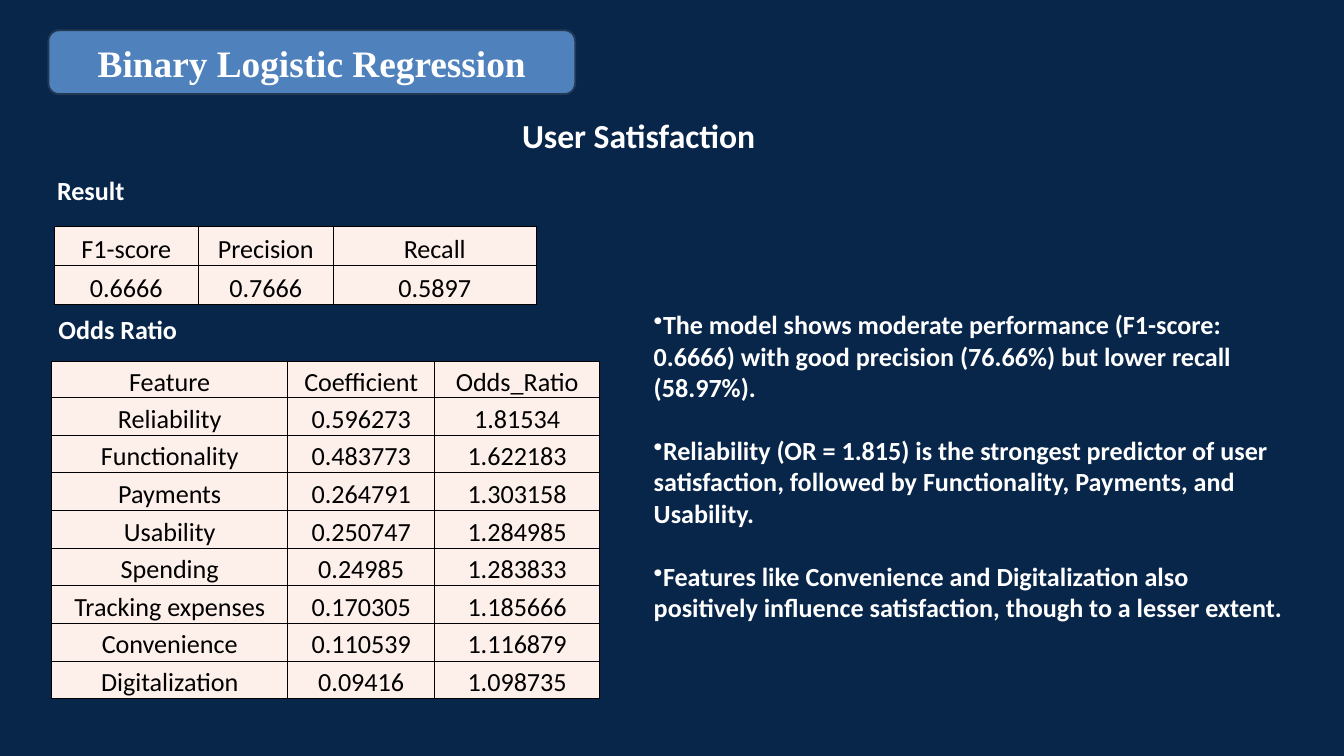
from pptx import Presentation
from pptx.dml.color import RGBColor
from pptx.enum.shapes import MSO_SHAPE
from pptx.enum.text import MSO_ANCHOR, MSO_AUTO_SIZE, PP_ALIGN
from pptx.oxml.ns import qn
from pptx.util import Pt
from lxml import etree

PX = 9144  # EMU per px, 100 px to the inch

NAVY = RGBColor(0x08, 0x25, 0x4A)
BLUE = RGBColor(0x4F, 0x81, 0xBD)
DARK_BLUE = RGBColor(0x23, 0x39, 0x53)
PEACH = RGBColor(0xFD, 0xEF, 0xE9)
WHITE = RGBColor(0xFF, 0xFF, 0xFF)
BLACK = RGBColor(0x00, 0x00, 0x00)

ROUNDED = MSO_SHAPE.ROUNDED_RECTANGLE
TOP, MIDDLE, BOTTOM = MSO_ANCHOR.TOP, MSO_ANCHOR.MIDDLE, MSO_ANCHOR.BOTTOM
CENTER = PP_ALIGN.CENTER
GROW = MSO_AUTO_SIZE.SHAPE_TO_FIT_TEXT

SCORES = [
    ("F1-score", "Precision", "Recall"),
    ("0.6666", "0.7666", "0.5897"),
]
ODDS = [
    ("Feature", "Coefficient", "Odds_Ratio"),
    ("Reliability", "0.596273", "1.81534"),
    ("Functionality", "0.483773", "1.622183"),
    ("Payments", "0.264791", "1.303158"),
    ("Usability", "0.250747", "1.284985"),
    ("Spending", "0.24985", "1.283833"),
    ("Tracking expenses", "0.170305", "1.185666"),
    ("Convenience", "0.110539", "1.116879"),
    ("Digitalization", "0.09416", "1.098735"),
]
FINDINGS = [
    "The model shows moderate performance (F1-score: 0.6666) with good precision "
    "(76.66%) but lower recall (58.97%).",
    "Reliability (OR = 1.815) is the strongest predictor of user satisfaction, "
    "followed by Functionality, Payments, and Usability.",
    "Features like Convenience and Digitalization also positively influence "
    "satisfaction, though to a lesser extent.",
]


def px(*lengths):
    return [length * PX for length in lengths]


def write(para, text, size=28, font="Calibri", color=WHITE, bold=True,
          align=None, before=None, line_spacing=None):
    span = para.add_run()
    span.text = text
    span.font.size = Pt(size)
    span.font.name = font
    span.font.color.rgb = color
    span.font.bold = bold
    if align is not None:
        para.alignment = align
    if before is not None:
        para.space_before = Pt(before)
    if line_spacing is not None:
        para.line_spacing = line_spacing


def add_bullet(para):
    properties = para._p.get_or_add_pPr()
    properties.set("marL", "0")
    properties.set("indent", "0")
    etree.SubElement(properties, qn("a:buChar"), char="•")


def add_borders(cell, color, width):
    properties = cell._tc.get_or_add_tcPr()
    for side in ("a:lnL", "a:lnR", "a:lnT", "a:lnB"):
        line = etree.SubElement(properties, qn(side), w=str(Pt(width)))
        fill = etree.SubElement(line, qn("a:solidFill"))
        etree.SubElement(fill, qn("a:srgbClr"), val=str(color))


class SlideBuilder:
    def __init__(self, slide, background):
        self.slide = slide
        fill = slide.background.fill
        fill.solid()
        fill.fore_color.rgb = background

    def text_box(self, place, anchor=TOP):
        box = self.slide.shapes.add_textbox(*px(*place))
        frame = box.text_frame
        frame.word_wrap = True
        frame.auto_size = GROW
        frame.vertical_anchor = anchor
        return frame

    def label(self, place, text, size=28):
        write(self.text_box(place).paragraphs[0], text, size=size)

    def bullets(self, place, items, gap):
        frame = self.text_box(place, MIDDLE)
        for index, item in enumerate(items):
            para = frame.add_paragraph() if index else frame.paragraphs[0]
            write(para, item, before=gap if index else 0)
            add_bullet(para)

    def banner(self, place, text):
        box = self.slide.shapes.add_shape(ROUNDED, *px(*place))
        box.shadow.inherit = False
        box.fill.solid()
        box.fill.fore_color.rgb = BLUE
        box.line.color.rgb = DARK_BLUE
        box.line.width = Pt(2)
        box.text_frame.vertical_anchor = MIDDLE
        write(box.text_frame.paragraphs[0], text, size=40,
              font="Times New Roman", align=CENTER)

    def table(self, place, rows, widths, heights, inset, header_anchor=BOTTOM):
        holder = self.slide.shapes.add_table(len(rows), len(widths), *px(*place))
        table = holder.table
        table.first_row = table.horz_banding = False
        for column, width in zip(table.columns, px(*widths)):
            column.width = width
        for row, height in zip(table.rows, px(*heights)):
            row.height = height
        for row_index, values in enumerate(rows):
            for column_index, value in enumerate(values):
                cell = table.cell(row_index, column_index)
                add_borders(cell, BLACK, 1)
                cell.fill.solid()
                cell.fill.fore_color.rgb = PEACH
                cell.margin_left = cell.margin_right = inset * PX
                cell.margin_top = cell.margin_bottom = 0
                cell.vertical_anchor = BOTTOM if row_index else header_anchor
                write(cell.text_frame.paragraphs[0], value, color=BLACK,
                      bold=False, align=CENTER, before=12, line_spacing=1.15)


def main():
    deck = Presentation()
    deck.slide_width, deck.slide_height = px(2000, 1125)
    page = SlideBuilder(deck.slides.add_slide(deck.slide_layouts[6]), NAVY)

    page.label((77, 462, 242, 57), "Odds Ratio")
    page.table((81, 337, 717, 116), SCORES, (214, 201, 302), (58, 58), inset=7)
    page.table((77, 538, 814, 501), ODDS, (351, 219, 245), [39] + [56] * 8,
               inset=5, header_anchor=TOP)
    page.bullets((963, 429, 959, 528), FINDINGS, gap=34)
    page.label((75, 254, 308, 57), "Result")
    page.label((767, 166, 1000, 71), "User Satisfaction", size=36)
    page.banner((72, 45, 784, 95), "Binary Logistic Regression")

    deck.save("out.pptx")


if __name__ == "__main__":
    main()
